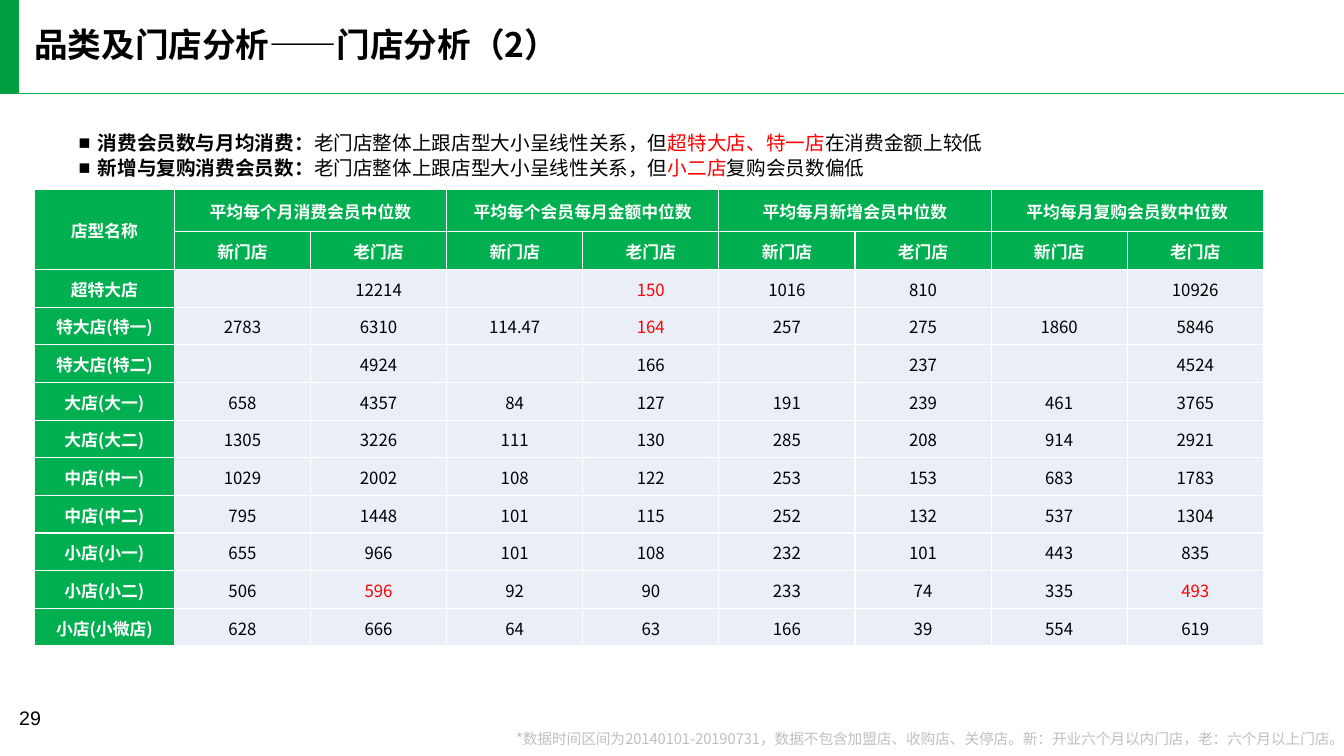
from lxml.etree import SubElement
from pptx import Presentation
from pptx.dml.color import RGBColor
from pptx.enum.shapes import MSO_CONNECTOR, MSO_SHAPE
from pptx.enum.text import MSO_ANCHOR, MSO_AUTO_SIZE, PP_ALIGN
from pptx.oxml.ns import qn
from pptx.util import Inches, Pt

CJK_FONT = "Noto Sans CJK SC"
BLACK = RGBColor(0x00, 0x00, 0x00)
WHITE = RGBColor(0xFF, 0xFF, 0xFF)
RED = RGBColor(0xFF, 0x00, 0x00)
GREEN = RGBColor(0x00, 0xB0, 0x50)
DARK_GREEN = RGBColor(0x02, 0x9E, 0x42)
PALE_BLUE = RGBColor(0xEA, 0xEF, 0xF7)
GREY = RGBColor(0xBF, 0xBF, 0xBF)

# Each finding: bold lead, statement, highlighted part, ending
FINDINGS = [
    ("消费会员数与月均消费：", "老门店整体上跟店型大小呈线性关系，但",
     "超特大店、特一店", "在消费金额上较低"),
    ("新增与复购消费会员数：", "老门店整体上跟店型大小呈线性关系，但",
     "小二店", "复购会员数偏低"),
]
FINDING_STYLES = [(BLACK, True), (BLACK, False), (RED, False), (BLACK, False)]

METRICS = ["平均每个月消费会员中位数", "平均每个会员每月金额中位数",
           "平均每月新增会员中位数", "平均每月复购会员数中位数"]
STORE_AGES = ["新门店", "老门店"]
STORE_ROWS = [
    ("超特大店", "", "12214", "", "150", "1016", "810", "", "10926"),
    ("特大店(特一)", "2783", "6310", "114.47", "164", "257", "275", "1860", "5846"),
    ("特大店(特二)", "", "4924", "", "166", "", "237", "", "4524"),
    ("大店(大一)", "658", "4357", "84", "127", "191", "239", "461", "3765"),
    ("大店(大二)", "1305", "3226", "111", "130", "285", "208", "914", "2921"),
    ("中店(中一)", "1029", "2002", "108", "122", "253", "153", "683", "1783"),
    ("中店(中二)", "795", "1448", "101", "115", "252", "132", "537", "1304"),
    ("小店(小一)", "655", "966", "101", "108", "232", "101", "443", "835"),
    ("小店(小二)", "506", "596", "92", "90", "233", "74", "335", "493"),
    ("小店(小微店)", "628", "666", "64", "63", "166", "39", "554", "619"),
]
LOW_VALUES = {("超特大店", 4), ("特大店(特一)", 4), ("小店(小二)", 2), ("小店(小二)", 8)}


def place(shape, left, top, width, height):
    shape.left, shape.top = Inches(left), Inches(top)
    shape.width, shape.height = Inches(width), Inches(height)


def format_run(run, size, color, bold=False, font=CJK_FONT):
    run.font.size = Pt(size)
    run.font.bold = bold
    run.font.color.rgb = color
    run.font.name = font
    SubElement(run.font._element, qn("a:ea"), typeface=font)


def set_frame(frame, anchor, wrap=True):
    frame.margin_left = frame.margin_right = frame.margin_top = frame.margin_bottom = 0
    frame.vertical_anchor = anchor
    frame.word_wrap = wrap
    frame.auto_size = MSO_AUTO_SIZE.NONE


def add_header(slide):
    rule = slide.shapes.add_connector(
        MSO_CONNECTOR.STRAIGHT, 0, Inches(0.93), Inches(13.33), Inches(0.93))
    rule.line.color.rgb = GREEN
    rule.line.width = Pt(1)
    SubElement(rule._element.spPr, qn("a:effectLst"))

    accent = slide.shapes.add_shape(
        MSO_SHAPE.RECTANGLE, 0, Inches(-0.01), Inches(0.19), Inches(0.94))
    accent.shadow.inherit = False
    accent.fill.solid()
    accent.fill.fore_color.rgb = DARK_GREEN
    accent.line.fill.background()


def fill_title(title):
    place(title, 0.34, 0.28, 6.29, 0.36)
    set_frame(title.text_frame, MSO_ANCHOR.TOP)
    heading = title.text_frame.paragraphs[0]
    heading.text = "品类及门店分析——门店分析（2）"
    heading.alignment = PP_ALIGN.LEFT
    heading.line_spacing = 0.9
    format_run(heading.runs[0], 24, BLACK, True)


def fill_findings(body):
    place(body, 0.78, 1.28, 11.6, 0.5)
    frame = body.text_frame
    set_frame(frame, MSO_ANCHOR.MIDDLE)
    for index, parts in enumerate(FINDINGS):
        finding = frame.add_paragraph() if index else frame.paragraphs[0]
        finding.line_spacing = Pt(18)
        finding.space_before = finding.space_after = Pt(0)
        for part, (color, bold) in zip(parts, FINDING_STYLES):
            run = finding.add_run()
            run.text = part
            format_run(run, 14, color, bold)
        # Square bullet with a hanging indent
        properties = finding._p.get_or_add_pPr()
        properties.set("marL", str(Inches(0.19)))
        properties.set("indent", str(Inches(-0.19)))
        SubElement(properties, qn("a:buFont"), typeface="Arial")
        SubElement(properties, qn("a:buChar"), char="■")


def add_label(slide, box, text, size, color, font=CJK_FONT, align=PP_ALIGN.LEFT, wrap=True):
    label = slide.shapes.add_textbox(*map(Inches, box))
    set_frame(label.text_frame, MSO_ANCHOR.TOP, wrap)
    line = label.text_frame.paragraphs[0]
    line.text = text
    line.alignment = align
    format_run(line.runs[0], size, color, font=font)
    return line


def style_cell(cell, fill, color, bold):
    cell.margin_left = cell.margin_right = cell.margin_top = Inches(0.01)
    cell.margin_bottom = 0
    cell.vertical_anchor = MSO_ANCHOR.MIDDLE
    # White borders go before the fill in the cell properties
    properties = cell._tc.get_or_add_tcPr()
    for side in ("lnL", "lnR", "lnT", "lnB"):
        border = SubElement(properties, qn(f"a:{side}"), w=str(Pt(1)))
        SubElement(SubElement(border, qn("a:solidFill")), qn("a:srgbClr"), val=str(WHITE))
    cell.fill.solid()
    cell.fill.fore_color.rgb = fill
    content = cell.text_frame.paragraphs[0]
    content.alignment = PP_ALIGN.CENTER
    for run in content.runs:
        format_run(run, 12, color, bold)


def add_store_table(slide):
    metric_row = ["店型名称"]
    for metric in METRICS:
        metric_row += [metric, ""]
    rows = [metric_row, [""] + STORE_AGES * len(METRICS), *STORE_ROWS]
    table = slide.shapes.add_table(
        len(rows), len(metric_row),
        Inches(0.34), Inches(1.88), Inches(12.19), Inches(4.53)).table

    # First column and first row are larger; the rest share the space
    for index, column in enumerate(table.columns):
        column.width = Inches(1.35 if index else 1.39)
    for index, row in enumerate(table.rows):
        row.height = Inches((4.53 - 0.42) / (len(rows) - 1) if index else 0.42)

    for r, values in enumerate(rows):
        for c, value in enumerate(values):
            cell = table.cell(r, c)
            cell.text = value
            if r < 2 or c == 0:
                style_cell(cell, GREEN, WHITE, True)
            else:
                color = RED if (values[0], c) in LOW_VALUES else BLACK
                style_cell(cell, PALE_BLUE, color, False)

    # Merged headings
    table.cell(0, 0).merge(table.cell(1, 0))
    for c in range(1, len(metric_row), 2):
        table.cell(0, c).merge(table.cell(0, c + 1))


def main():
    deck = Presentation()
    deck.slide_width, deck.slide_height = Inches(13.33), Inches(7.5)
    slide = deck.slides.add_slide(deck.slide_layouts[1])
    add_header(slide)
    fill_title(slide.shapes.title)
    fill_findings(slide.placeholders[1])
    add_store_table(slide)
    add_label(slide, (0.19, 7.0, 0.71, 0.3), "29", 14, BLACK, font="Arial")
    footnote = add_label(
        slide, (4.91, 7.26, 8.43, 0.16),
        "*数据时间区间为20140101-20190731，数据不包含加盟店、收购店、关停店。"
        "新：开业六个月以内门店，老：六个月以上门店。",
        10.5, GREY, align=PP_ALIGN.RIGHT, wrap=False)
    footnote.line_spacing = 0.9
    deck.save("out.pptx")


if __name__ == "__main__":
    main()
